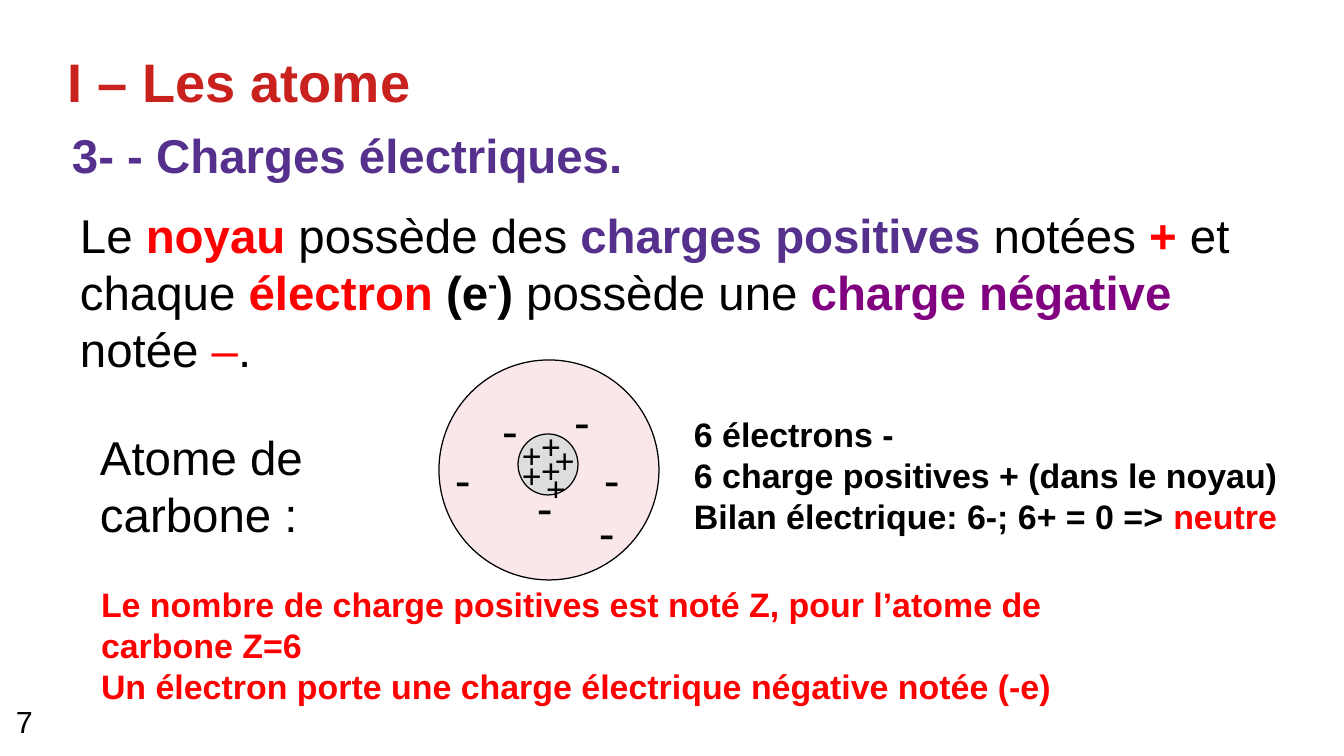
import pptx
import pptx.dml.color
import pptx.enum.shapes
import pptx.enum.text
import pptx.oxml.ns
import pptx.util
from lxml import etree

PX = 914400 / 122
BLACK, RED, VIOLET, PURPLE = "000000", "FF0000", "55308D", "800080"


def px(length):
    return pptx.util.Emu(round(length * PX))


def color(hex_code):
    return pptx.dml.color.RGBColor.from_string(hex_code)


class SlideBuilder:
    font = "Arial"

    def __init__(self, slide):
        self.slide = slide

    def place(self, shape, left, top, width, height):
        shape.left, shape.top = px(left), px(top)
        shape.width, shape.height = px(width), px(height)

    def add_runs(self, frame, paragraphs, size):
        """Each run is (text, colour, bold) with an optional baseline in percent."""
        for index, runs in enumerate(paragraphs):
            paragraph = frame.paragraphs[0] if index == 0 else frame.add_paragraph()
            paragraph.alignment = pptx.enum.text.PP_ALIGN.LEFT
            for words, hex_code, bold, *baseline in runs:
                run = paragraph.add_run()
                run.text = words
                run.font.name, run.font.size = self.font, pptx.util.Pt(size)
                run.font.bold = bold
                run.font.color.rgb = color(hex_code)
                if baseline:
                    run.font._element.set("baseline", str(baseline[0] * 1000))

    def title(self, box, runs, size):
        title = self.slide.shapes.title
        self.place(title, *box)
        frame = title.text_frame
        frame.margin_left = frame.margin_right = 0
        frame.margin_top = frame.margin_bottom = 0
        frame.vertical_anchor = pptx.enum.text.MSO_ANCHOR.MIDDLE
        self.add_runs(frame, [runs], size)

    def text(self, box, paragraphs, size, wrap=True):
        frame = self.slide.shapes.add_textbox(*map(px, box)).text_frame
        frame.word_wrap = wrap
        self.add_runs(frame, paragraphs, size)

    def circle(self, box, fill, opacity=100):
        circle = self.slide.shapes.add_shape(
            pptx.enum.shapes.MSO_SHAPE.OVAL, *map(px, box))
        circle.shadow.inherit = False
        circle.fill.solid()
        circle.fill.fore_color.rgb = color(fill)
        circle.line.color.rgb = color(BLACK)
        circle.line.width = 0
        if opacity < 100:
            tone = circle._element.spPr.find(
                "a:solidFill/a:srgbClr", {"a": pptx.oxml.ns.nsuri("a")})
            etree.SubElement(tone, pptx.oxml.ns.qn("a:alpha"), val=str(opacity * 1000))

    def charges(self, sign, size, corners):
        for left, top in corners:
            self.text((left, top, 40, 65), [[(sign, BLACK, False)]], size)


def main():
    deck = pptx.Presentation()
    deck.slide_width, deck.slide_height = px(1344), px(756)
    builder = SlideBuilder(deck.slides.add_slide(deck.slide_layouts[5]))

    # Headings
    builder.title((67, 31, 1210, 99), [("I – Les atome", "C9211E", True)], 32)
    builder.text((60, 120, 842, 73), [[("3- - Charges électriques.", VIOLET, True)]], 28)

    # Rule on charges
    builder.text((68, 200, 1220, 171), [[
        ("Le ", BLACK, False),
        ("noyau", RED, True),
        (" possède des ", BLACK, False),
        ("charges positives", VIOLET, True),
        (" notées ", BLACK, False),
        ("+", RED, True),
        (" et chaque ", BLACK, False),
        ("électron ", RED, True),
        ("(e", BLACK, True),
        ("-", BLACK, True, 33),
        (")", BLACK, True),
        (" possède une ", BLACK, False),
        ("charge négative", PURPLE, True),
        (" notée ", BLACK, False),
        ("–", RED, False),
        (".", BLACK, False),
    ]], 28)

    # Carbon atom: electron cloud, nucleus and charges
    builder.text((88, 422, 240, 118), [[("Atome de carbone :", BLACK, False)]], 28)
    builder.circle((439, 360, 220, 220), "F7D1D5", opacity=50)
    builder.circle((518, 434, 60, 61), "DDDDDD")
    builder.charges("-", 28, [(592, 444), (490, 395), (525, 472),
                              (443, 444), (587, 497), (562, 386)])
    builder.charges("+", 20, [(529, 444), (529, 420), (510, 429),
                              (510, 449), (543, 434), (534, 462)])

    # Charge balance
    builder.text((682, 408, 627, 178), [
        [("6 électrons -", BLACK, True)],
        [("6 charge positives + (dans le noyau)", BLACK, True)],
        [("Bilan électrique: 6-; 6+ = 0 => ", BLACK, True), ("neutre", RED, True)],
    ], 20)

    # Conclusion
    builder.text((89, 578, 1028, 126), [
        [("Le nombre de charge positives est noté Z, pour l’atome de carbone Z=6",
          RED, True)],
        [("Un électron porte une charge électrique négative notée (-e)", RED, True)],
    ], 20)

    # Page number
    builder.text((4, 697, 511, 57), [[("7", BLACK, False)]], 18, wrap=False)

    deck.save("out.pptx")


if __name__ == "__main__":
    main()
